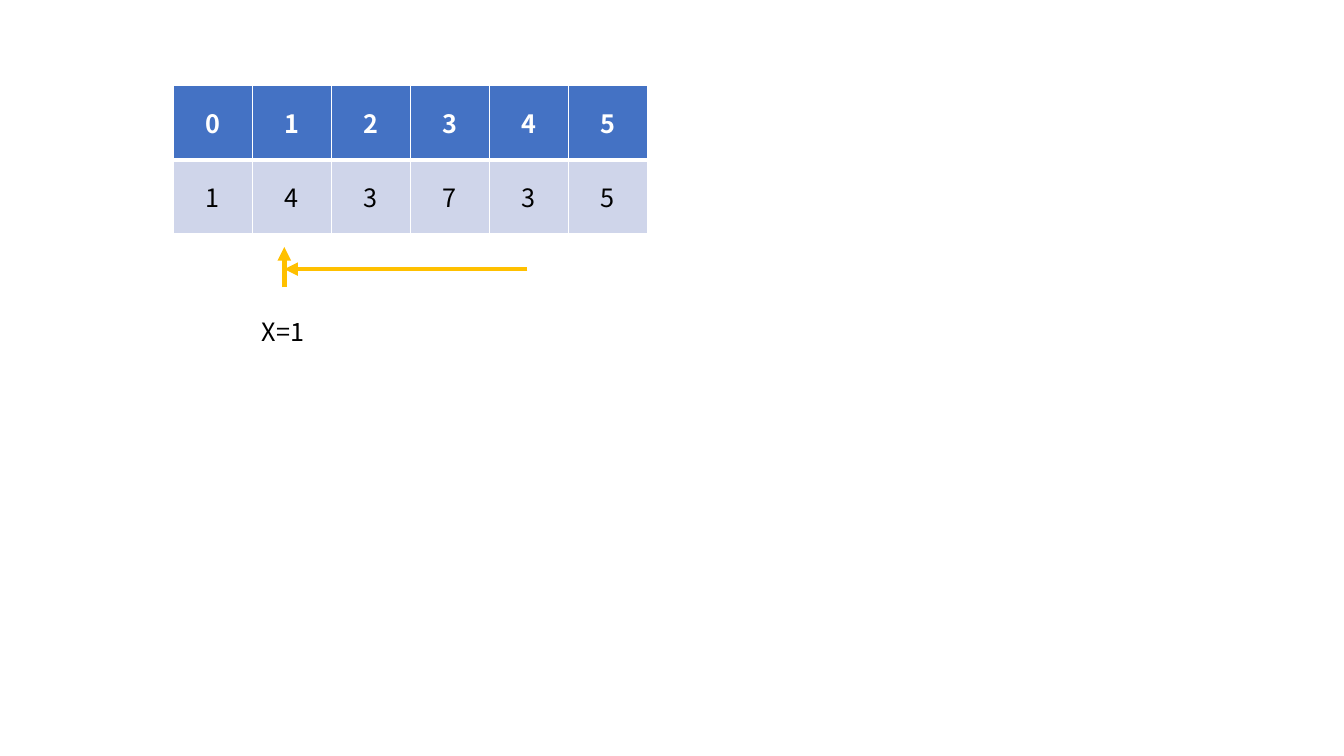
from dataclasses import dataclass

from lxml.etree import SubElement
from pptx import Presentation
from pptx.dml.color import RGBColor
from pptx.enum.shapes import MSO_CONNECTOR
from pptx.enum.text import MSO_ANCHOR, MSO_AUTO_SIZE, PP_ALIGN
from pptx.oxml.ns import qn
from pptx.util import Inches, Pt

WHITE, BLACK, BLUE, PALE, GOLD = "FFFFFF", "000000", "4472C4", "CFD5EA", "FFC000"
FONT = {"name": "Noto Sans CJK SC", "size": Pt(18)}


@dataclass(frozen=True)
class ArrayRow:
    """One row of the array table, with border widths in points."""

    values: str
    fill: str
    color: str
    bold: bool
    top: int
    bottom: int


@dataclass(frozen=True)
class Arrow:
    """A straight arrow between two points in inches."""

    start: tuple[float, float]
    end: tuple[float, float]


ROWS = [
    ArrayRow("012345", BLUE, WHITE, True, 1, 3),
    ArrayRow("143735", PALE, BLACK, False, 3, 1),
]
ARROWS = [Arrow((5.23, 2.67), (2.82, 2.67)), Arrow((2.82, 2.85), (2.82, 2.45))]


def rgb(value: str) -> RGBColor:
    """Turn a hex string into a colour."""
    return RGBColor.from_string(value)


def apply_format(target, values: dict) -> None:
    """Set every attribute named in the format values."""
    for name, value in values.items():
        setattr(target, name, value)


def write_text(paragraph, text: str, color: str, bold: bool = False) -> None:
    """Write one run in the slide font."""
    run = paragraph.add_run()
    run.text = text
    apply_format(run.font, FONT | {"bold": bold})
    run.font.color.rgb = rgb(color)


def add_borders(cell, row: ArrayRow) -> None:
    """Give a cell white borders on all four sides."""
    properties = cell._tc.get_or_add_tcPr()
    for side, points in {"L": 1, "R": 1, "T": row.top, "B": row.bottom}.items():
        line = SubElement(properties, qn(f"a:ln{side}"), w=str(Pt(points)))
        fill = SubElement(line, qn("a:solidFill"))
        SubElement(fill, qn("a:srgbClr"), val=WHITE)


def add_array_table(slide, rows: list[ArrayRow]) -> None:
    """Draw the indexes above the array values."""
    frame = slide.shapes.add_table(
        len(rows), len(rows[0].values),
        Inches(1.72), Inches(0.85), Inches(4.7), Inches(1.47),
    )
    for row_index, row in enumerate(rows):
        for column_index, value in enumerate(row.values):
            cell = frame.table.cell(row_index, column_index)
            add_borders(cell, row)
            cell.fill.solid()
            cell.fill.fore_color.rgb = rgb(row.fill)
            cell.vertical_anchor = MSO_ANCHOR.MIDDLE
            paragraph = cell.text_frame.paragraphs[0]
            paragraph.alignment = PP_ALIGN.CENTER
            write_text(paragraph, value, row.color, row.bold)


def add_arrow(slide, arrow: Arrow) -> None:
    """Draw a gold arrow with a triangular head at its end."""
    points = [Inches(value) for value in arrow.start + arrow.end]
    connector = slide.shapes.add_connector(MSO_CONNECTOR.STRAIGHT, *points)
    connector.line.color.rgb = rgb(GOLD)
    connector.line.width = Pt(3.25)
    SubElement(connector.line._get_or_add_ln(), qn("a:tailEnd"), type="triangle")
    SubElement(connector._element.spPr, qn("a:effectLst"))


def add_label(slide, text: str) -> None:
    """Write the pointer value below the arrows."""
    box = slide.shapes.add_textbox(
        Inches(2.5), Inches(3.09), Inches(0.65), Inches(0.4)
    )
    apply_format(
        box.text_frame,
        {"word_wrap": False, "auto_size": MSO_AUTO_SIZE.SHAPE_TO_FIT_TEXT},
    )
    write_text(box.text_frame.paragraphs[0], text, BLACK)


def main() -> None:
    """Build and save the array slide."""
    presentation = Presentation()
    apply_format(
        presentation, {"slide_width": Inches(13.33), "slide_height": Inches(7.5)}
    )
    slide = presentation.slides.add_slide(presentation.slide_layouts[6])
    add_array_table(slide, ROWS)
    for arrow in ARROWS:
        add_arrow(slide, arrow)
    add_label(slide, "X=1")
    presentation.save("out.pptx")


main()
